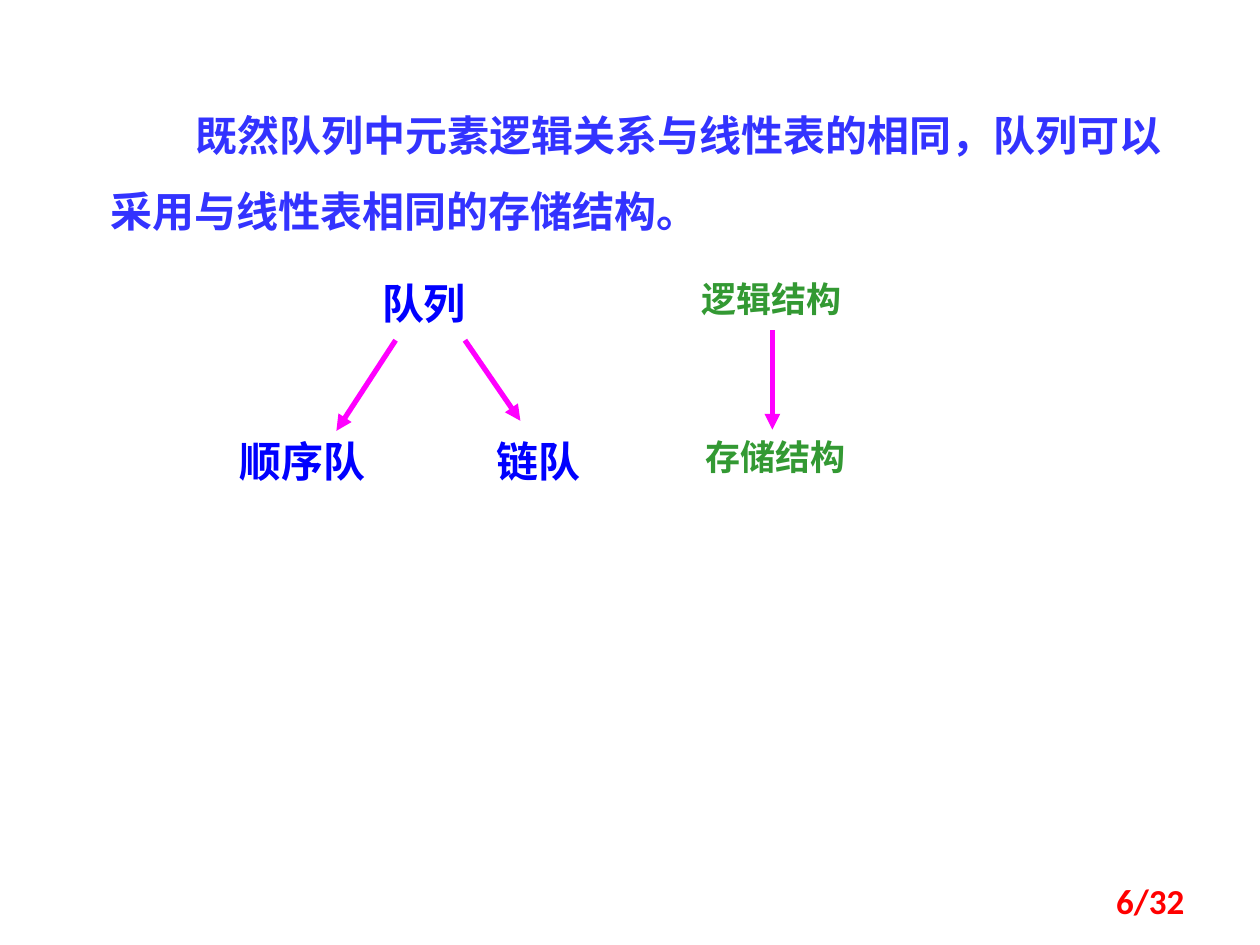
from dataclasses import dataclass

from lxml import etree
from pptx import Presentation
from pptx.dml.color import RGBColor
from pptx.enum.shapes import MSO_CONNECTOR
from pptx.enum.text import MSO_ANCHOR, PP_ALIGN
from pptx.oxml.ns import qn
from pptx.util import Inches, Pt

LEFT, CENTER, RIGHT = PP_ALIGN.LEFT, PP_ALIGN.CENTER, PP_ALIGN.RIGHT
TOP, MIDDLE = MSO_ANCHOR.TOP, MSO_ANCHOR.MIDDLE
STRAIGHT = MSO_CONNECTOR.STRAIGHT

INDIGO, BLUE, GREEN = "3333FF", "0000FF", "339933"
MAGENTA, RED = "FF00FF", "FF0000"
UPPER_ROW, LOWER_ROW = 2.15, 3.41


@dataclass
class Label:
    text: str
    left: float
    top: float
    width: float
    height: float
    color: str
    size: int = 24
    font: str = "Times New Roman"
    align: PP_ALIGN = LEFT
    anchor: MSO_ANCHOR = TOP
    line_spacing: float = 1.0
    indent: float = 0


@dataclass
class Arrow:
    start_x: float
    start_y: float
    end_x: float
    end_y: float


LABELS = [
    Label("既然队列中元素逻辑关系与线性表的相同，队列可以采用与线性表相同的存储结构。",
          0.78, 0.62, 8.83, 1.24, INDIGO, line_spacing=1.5, indent=0.67),
    Label("队列", 2.82, UPPER_ROW, 1.09, 0.5, BLUE, align=CENTER),
    Label("顺序队", 1.8, LOWER_ROW, 1.65, 0.5, BLUE),
    Label("链队", 3.84, LOWER_ROW, 1.18, 0.5, BLUE),
    Label("逻辑结构", 5.47, UPPER_ROW, 1.48, 0.43, GREEN, size=20),
    Label("存储结构", 5.5, LOWER_ROW, 1.57, 0.43, GREEN, size=20),
    Label("6/32", 7.17, 6.95, 2.33, 0.4, RED, size=20, font="Calibri",
          align=RIGHT, anchor=MIDDLE),
]

ARROWS = [
    Arrow(3.14, 2.7, 2.67, 3.42),
    Arrow(3.69, 2.7, 4.13, 3.34),
    Arrow(6.13, 2.62, 6.13, LOWER_ROW),
]


def rgb(color: str) -> RGBColor:
    return RGBColor.from_string(color)


def add_label(page, label: Label) -> None:
    box = page.shapes.add_textbox(Inches(label.left), Inches(label.top),
                                  Inches(label.width), Inches(label.height))
    frame = box.text_frame
    frame.word_wrap = True
    frame.vertical_anchor = label.anchor
    para = frame.paragraphs[0]
    para.text = label.text
    para.alignment = label.align
    para.line_spacing = label.line_spacing
    para.font.name = label.font
    para.font.size = Pt(label.size)
    para.font.bold = True
    para.font.color.rgb = rgb(label.color)
    if label.indent:
        properties = para._p.get_or_add_pPr()
        properties.set("marL", "0")
        properties.set("indent", str(Inches(label.indent)))


def add_arrow(page, arrow: Arrow) -> None:
    connector = page.shapes.add_connector(
        STRAIGHT, Inches(arrow.start_x), Inches(arrow.start_y),
        Inches(arrow.end_x), Inches(arrow.end_y))
    connector.line.color.rgb = rgb(MAGENTA)
    connector.line.width = Pt(3)
    line = connector.line._get_or_add_ln()
    etree.SubElement(line, qn("a:tailEnd"), type="triangle")
    etree.SubElement(connector._element.spPr, qn("a:effectLst"))


def main() -> None:
    deck = Presentation()
    deck.slide_width, deck.slide_height = Inches(10), Inches(7.5)
    page = deck.slides.add_slide(deck.slide_layouts[6])
    for label in LABELS:
        add_label(page, label)
    for arrow in ARROWS:
        add_arrow(page, arrow)
    deck.save("out.pptx")


if __name__ == "__main__":
    main()
